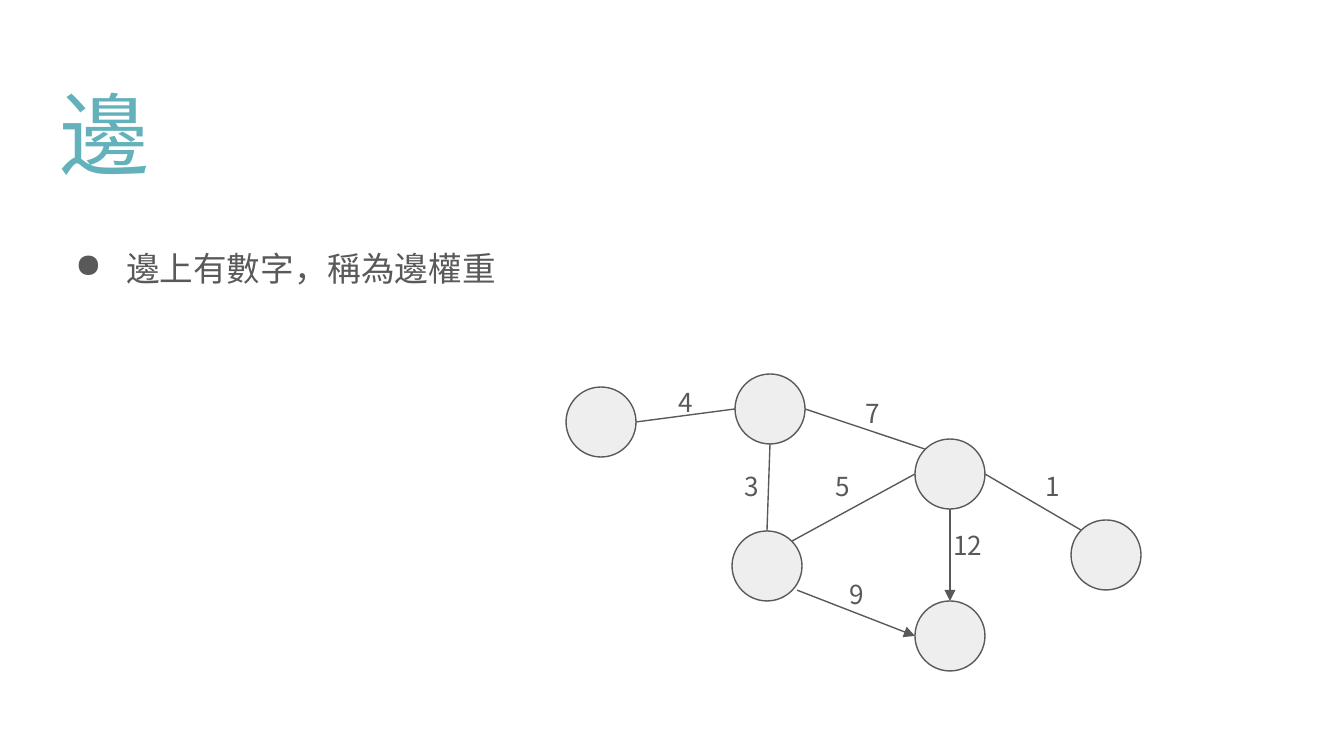
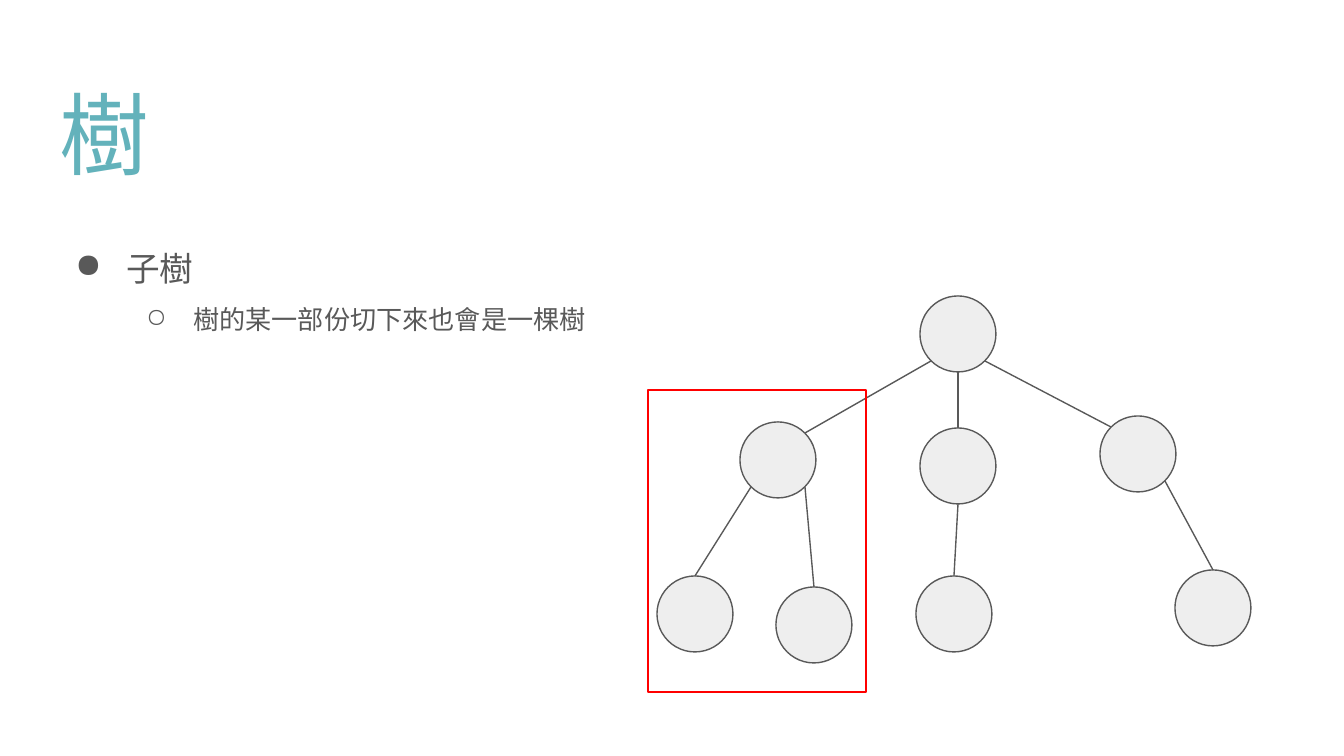
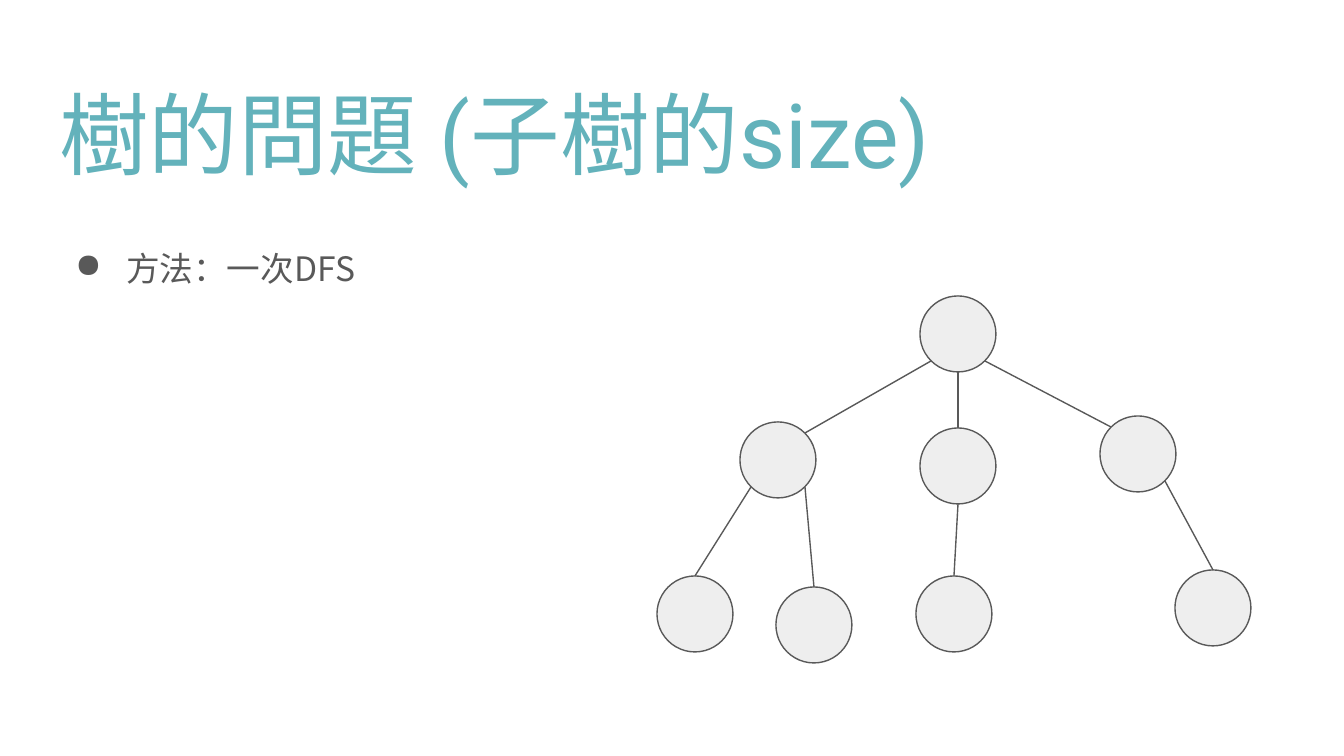
from pptx import Presentation
from pptx import util as u
from pptx.dml.color import RGBColor
from pptx.enum import shapes, text
from pptx.oxml.ns import qn
from lxml import etree

PX = 914400 / 134.4
TEAL = RGBColor(0x63, 0xB2, 0xBB)
GRAY = RGBColor(0x59, 0x59, 0x59)
PALE = RGBColor(0xEE, 0xEE, 0xEE)
RED = RGBColor(0xFF, 0x00, 0x00)
SANS, HEAD = "Noto Sans CJK TC", "Roboto"

TITLE_BOX = (46, 66, 1252, 133)
BODY_BOX = (46, 214, 1252, 457)
LABEL_W, LABEL_H = 136, 67
# Per level: bullet, size in points, left indent and hanging indent in px
LEVELS = [("●", 18, 67, 51), ("○", 14, 134, 47)]

# Where an edge meets a node, in radii from its centre
SITES = {
    "n": (0, -1), "s": (0, 1), "w": (-1, 0), "e": (1, 0),
    "nw": (-0.71, -0.71), "ne": (0.71, -0.71),
    "sw": (-0.71, 0.71), "se": (0.71, 0.71),
    "ese": (0.86, 0.69),
}

# Nodes give centres; edges give node, site, node, site, arrow
GRAPH = {
    "size": 70,
    "nodes": {"a": (601, 422), "b": (770, 409), "c": (767, 566),
              "d": (950, 474), "e": (950, 636), "f": (1106, 555)},
    "edges": [("a", "e", "b", "w", False), ("b", "s", "c", "n", False),
              ("b", "e", "d", "nw", False), ("c", "ne", "d", "w", False),
              ("d", "e", "f", "nw", False), ("d", "s", "e", "n", True),
              ("c", "ese", "e", "w", True)],
    "labels": [("7", 873, 417), ("4", 686, 406), ("3", 752, 491),
               ("5", 843, 491), ("9", 857, 599), ("12", 968, 550),
               ("1", 1053, 491)],
}
TREE = {
    "size": 76,
    "nodes": {"root": (958, 334), "left": (778, 460), "mid": (958, 466),
              "right": (1138, 454), "leaf1": (695, 614), "leaf3": (954, 614),
              "leaf2": (814, 625), "leaf4": (1213, 608)},
    "edges": [("root", "sw", "left", "ne", False),
              ("root", "s", "mid", "n", False),
              ("root", "se", "right", "nw", False),
              ("left", "sw", "leaf1", "n", False),
              ("left", "se", "leaf2", "n", False),
              ("mid", "s", "leaf3", "n", False),
              ("right", "se", "leaf4", "n", False)],
    "labels": [],
}
SLIDES = [
    {"title": "邊", "body": [("邊上有數字，稱為邊權重", 0)], "graph": GRAPH},
    {"title": "樹", "body": [("子樹", 0), ("樹的某一部份切下來也會是一棵樹", 1)],
     "graph": TREE, "frame": (648, 390, 218, 302)},
    {"title": "樹的問題 (子樹的size)", "body": [("方法：一次DFS", 0)], "graph": TREE},
]


def emu(*vals):
    return [u.Emu(round(v * PX)) for v in vals]


def sub(node, tag, **attrs):
    return etree.SubElement(node, qn(tag), attrs)


def set_bullet(par, level):
    mark, _, left, hang = LEVELS[level]
    props = par._p.get_or_add_pPr()
    left, hang = emu(left, hang)
    props.set("marL", str(left))
    props.set("indent", str(-hang))
    color = sub(props, "a:buClr")
    sub(color, "a:srgbClr", val=str(GRAY))
    sub(props, "a:buChar", char=mark)


def add_text(slide, box, lines, size=14, font=SANS, color=GRAY, align=None,
             anchor=text.MSO_ANCHOR.TOP, bullets=False):
    """Write (text, level) lines into a box."""
    frame = slide.shapes.add_textbox(*emu(*box)).text_frame
    frame.word_wrap = True
    frame.vertical_anchor = anchor
    frame.margin_left = frame.margin_right = u.Inches(0.1)
    frame.margin_top = frame.margin_bottom = u.Inches(0.1)
    for i, (line, level) in enumerate(lines):
        par = frame.add_paragraph() if i else frame.paragraphs[0]
        par.level = level
        if align is not None:
            par.alignment = align
        if bullets:
            par.line_spacing = 1.5
            set_bullet(par, level)
        run = par.add_run()
        run.text = line
        run.font.size = u.Pt(LEVELS[level][1] if bullets else size)
        run.font.color.rgb = color
        run.font.name = font
        for tag in ("a:ea", "a:cs"):
            sub(run._r.get_or_add_rPr(), tag, typeface=font)


def add_outline(slide, kind, box, line, fill=None):
    shape = slide.shapes.add_shape(kind, *emu(*box))
    shape.shadow.inherit = False
    if fill is None:
        shape.fill.background()
    else:
        shape.fill.solid()
        shape.fill.fore_color.rgb = fill
    shape.line.color.rgb = line
    shape.line.width = u.Pt(0.75)


def add_edge(slide, start, end, arrow):
    edge = slide.shapes.add_connector(
        shapes.MSO_CONNECTOR.STRAIGHT, *emu(*start, *end))
    edge.line.color.rgb = GRAY
    edge.line.width = u.Pt(0.75)
    if arrow:
        sub(edge.line._get_or_add_ln(), "a:tailEnd", type="triangle")
    sub(edge._element.spPr, "a:effectLst")


def add_graph(slide, size, nodes, edges, labels):
    half = size / 2

    def touch(name, site):
        return [c + half * d for c, d in zip(nodes[name], SITES[site])]

    for x, y in nodes.values():
        add_outline(slide, shapes.MSO_SHAPE.OVAL,
                    (x - half, y - half, size, size), GRAY, PALE)
    for first, out, last, into, arrow in edges:
        add_edge(slide, touch(first, out), touch(last, into), arrow)
    for label, x, y in labels:
        box = (x - LABEL_W / 2, y - LABEL_H / 2, LABEL_W, LABEL_H)
        add_text(slide, box, [(label, 0)], align=text.PP_ALIGN.CENTER)


def main():
    deck = Presentation()
    deck.slide_width, deck.slide_height = emu(1344, 756)
    for page in SLIDES:
        slide = deck.slides.add_slide(deck.slide_layouts[6])
        add_text(slide, TITLE_BOX, [(page["title"], 0)], size=48, font=HEAD,
                 color=TEAL, anchor=text.MSO_ANCHOR.MIDDLE)
        add_text(slide, BODY_BOX, page["body"], bullets=True)
        add_graph(slide, **page["graph"])
        if "frame" in page:
            add_outline(slide, shapes.MSO_SHAPE.RECTANGLE, page["frame"], RED)
    deck.save("out.pptx")


if __name__ == "__main__":
    main()
